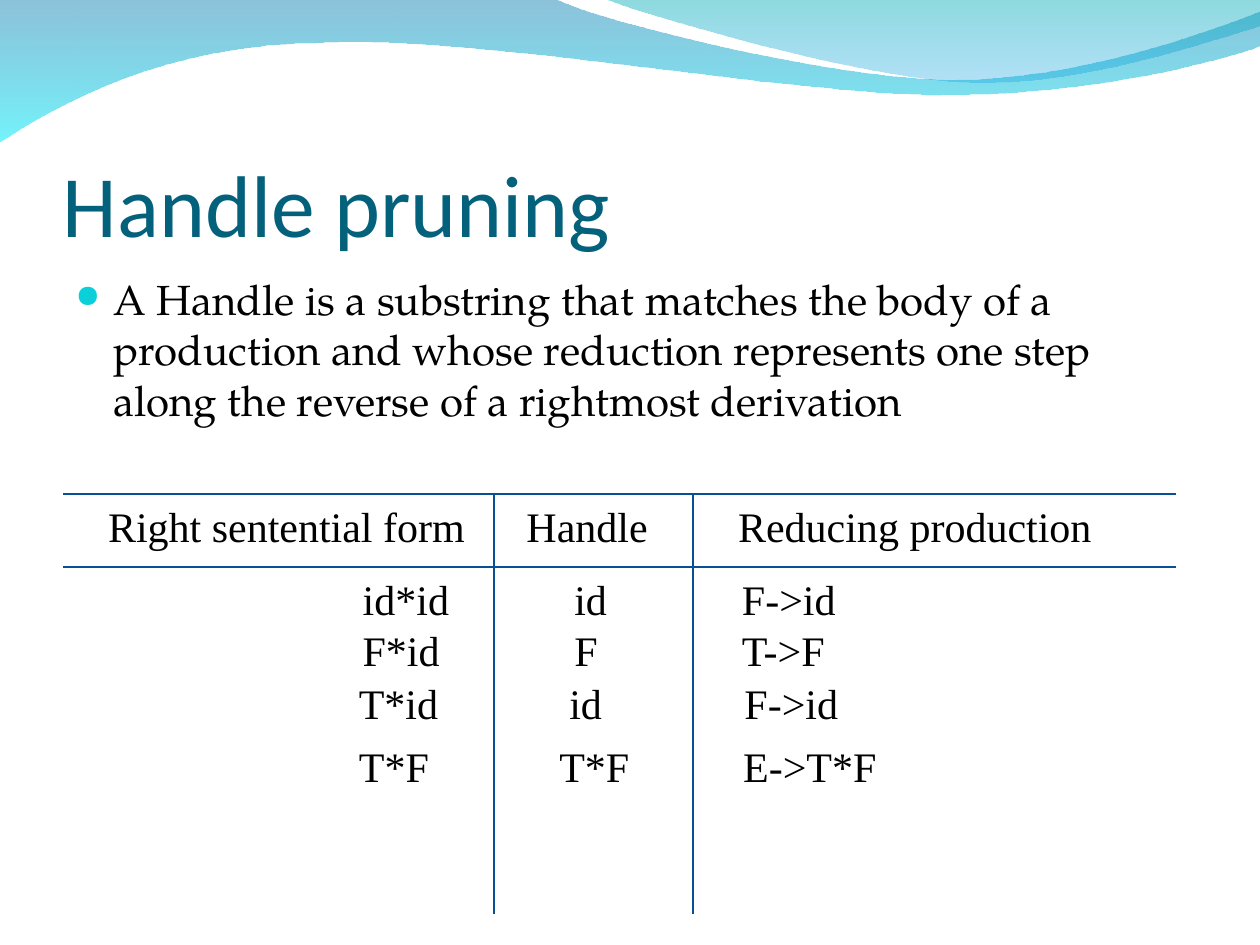
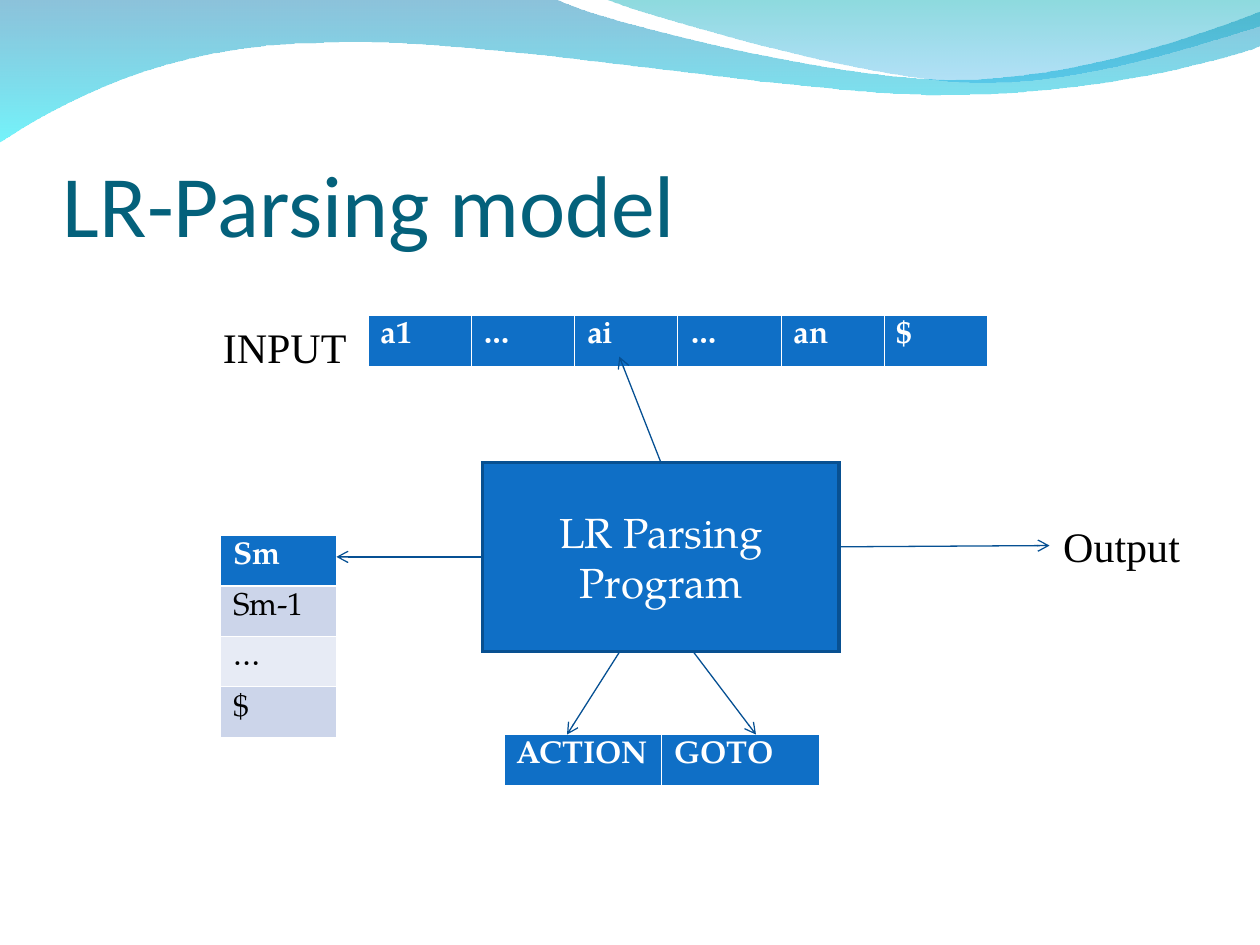
from collections import namedtuple

from lxml.etree import SubElement
from pptx import Presentation
from pptx.dml.color import RGBColor
from pptx.enum.shapes import MSO_CONNECTOR, MSO_SHAPE
from pptx.enum.text import MSO_ANCHOR, MSO_AUTO_SIZE, PP_ALIGN
from pptx.oxml import parse_xml
from pptx.oxml.ns import nsdecls, qn
from pptx.util import Inches, Pt

Box = namedtuple("Box", "left top width height")

TITLE_FONT, BODY_FONT, LABEL_FONT = "Calibri", "TeX Gyre Pagella", "Times New Roman"
BLACK, WHITE = "000000", "FFFFFF"
TITLE_COLOUR, BULLET_COLOUR = "04617B", "0BD0D9"
BLUE, BLUE_EDGE, LINE_COLOUR = "0F6FC6", "085091", "065093"
STRIPES = ("CCD5EA", "E7EBF5")
LABEL_HEIGHT = 0.5
LABEL_SLACK = 0.04  # keeps a tight label on one line

# Each wave: start point, then line ends (1 point) or Bezier curves (3 points),
# then gradient stops as colour and opacity in percent.
LOWER_WAVE = (
    (0, -0.01),
    [[(4.4, -0.01)], [(4.76, 0.17), (6.64, 0.63), (7.58, 0.63)],
     [(8.53, 0.63), (9.58, 0.26), (10, 0.09)], [(10.01, 0.36)],
     [(9.83, 0.44), (8.7, 0.76), (7.46, 0.75)],
     [(6.22, 0.75), (3.82, 0.28), (2.57, 0.34)],
     [(1.29, 0.35), (0.46, 0.83), (-0.01, 1.13)]],
    [("0079AF", 45), ("00EBF8", 55)],
)
UPPER_WAVE = (
    (4.79, -0.01),
    [[(5.09, 0.11), (6.82, 0.62), (7.69, 0.65)],
     [(8.56, 0.69), (9.61, 0.32), (10, 0.21)], [(10, 0)]],
    [("00ADB6", 45), ("009BE5", 30)],
)


def colour(code):
    """Turn a hex string into a colour."""
    return RGBColor.from_string(code)


def lengths(*values):
    """Turn numbers of inches into lengths."""
    return [Inches(value) for value in values]


def add_span(para, text, font, size, code, bold=False):
    """Add one formatted run to a paragraph."""
    span = para.add_run()
    span.text = text
    span.font.name, span.font.size, span.font.bold = font, Pt(size), bold
    span.font.color.rgb = colour(code)


def add_text_box(page, box, insets=(0.1, 0.05, 0.1, 0.05)):
    """Add an empty wrapping text box and return its frame."""
    frame = page.shapes.add_textbox(*lengths(*box)).text_frame
    frame.word_wrap = True
    (frame.margin_left, frame.margin_top,
     frame.margin_right, frame.margin_bottom) = lengths(*insets)
    return frame


def add_label(page, left, top, width, text):
    """Add a one-line label that fits its text."""
    frame = add_text_box(page, Box(left, top, width + LABEL_SLACK, LABEL_HEIGHT))
    frame.word_wrap = False
    frame.auto_size = MSO_AUTO_SIZE.SHAPE_TO_FIT_TEXT
    add_span(frame.paragraphs[0], text, LABEL_FONT, 24, BLACK)


def add_line(page, start, end, arrow=False):
    """Add a thin line, with an open arrowhead at its end if asked."""
    line = page.shapes.add_connector(MSO_CONNECTOR.STRAIGHT, *lengths(*start, *end))
    line.line.color.rgb = colour(LINE_COLOUR)
    line.line.width = Pt(0.74)
    if arrow:
        SubElement(line.line._get_or_add_ln(), qn("a:tailEnd"), type="arrow")
    SubElement(line._element.spPr, qn("a:effectLst"))


def bend(shape, segments):
    """Turn each run of three line ends that belongs to a curve into that curve."""
    ends = shape._element.findall(".//" + qn("a:lnTo"))
    for segment in segments:
        group, ends = ends[:len(segment)], ends[len(segment):]
        if len(segment) == 3:
            group[0].tag = qn("a:cubicBezTo")
            for extra in group[1:]:
                group[0].append(extra[0])
                extra.getparent().remove(extra)


def add_wave(page, start, segments, stops):
    """Draw one translucent wave with a top-to-bottom gradient."""
    builder = page.shapes.build_freeform(*lengths(*start), scale=1.0)
    points = [lengths(*point) for segment in segments for point in segment]
    builder.add_line_segments(points, close=True)
    wave = builder.convert_to_shape()
    bend(wave, segments)
    wave.shadow.inherit = False
    wave.line.fill.background()
    wave.fill.gradient()
    wave.fill.gradient_angle = 270
    for place, (stop, (code, opacity)) in enumerate(zip(wave.fill.gradient_stops, stops)):
        stop.position = place
        stop.color.rgb = colour(code)
        tint = stop._gs.find(qn("a:srgbClr"))
        SubElement(tint, qn("a:alpha"), val=str(opacity * 1000))


def add_page(deck, title):
    """Add a slide with the waves and the title."""
    page = deck.slides.add_slide(deck.slide_layouts[6])
    for wave in (LOWER_WAVE, UPPER_WAVE):
        add_wave(page, *wave)
    frame = add_text_box(page, Box(0.5, 0.77, 9, 1.25), insets=(0, 0.05, 0, 0))
    frame.vertical_anchor = MSO_ANCHOR.BOTTOM
    add_span(frame.paragraphs[0], title, TITLE_FONT, 50, TITLE_COLOUR)
    return page


def add_bullet(page, box, text):
    """Add a bulleted paragraph."""
    para = add_text_box(page, box).paragraphs[0]
    para.space_before = Pt(6.5)
    props = para._p.get_or_add_pPr()
    props.set("marL", str(Inches(0.3)))
    props.set("indent", str(-Inches(0.3)))
    tint = SubElement(props, qn("a:buClr"))
    SubElement(tint, qn("a:srgbClr"), val=BULLET_COLOUR)
    SubElement(props, qn("a:buSzPct"), val="75000")
    SubElement(props, qn("a:buChar"), char="●")
    add_span(para, text, BODY_FONT, 24, BLACK)


def add_reduction_grid(page, box):
    """Draw the ruled grid of sentential forms, handles and productions."""
    right, bottom = box.left + box.width, box.top + box.height
    for offset in (0, 0.58):
        add_line(page, (box.left, box.top + offset), (right, box.top + offset))
    for offset in (3.42, 5):
        add_line(page, (box.left + offset, box.top), (box.left + offset, bottom))
    # Row offset, then left offset, width and text of each entry.
    rows = [
        (0, [(0.26, 3.03, "Right sentential form"), (3.58, 1.16, "Handle"),
             (5.26, 3, "Reducing production")]),
        (0.58, [(2.28, 0.88, "id*id"), (3.96, 0.46, "id"), (5.29, 0.94, "F->id")]),
        (0.99, [(2.28, 0.81, "F*id"), (3.96, 0.38, "F"), (5.29, 0.89, "T->F")]),
        (1.41, [(2.25, 0.83, "T*id"), (3.92, 0.46, "id"), (5.31, 0.94, "F->id")]),
        (1.91, [(2.25, 0.75, "T*F"), (3.84, 0.75, "T*F"), (5.3, 1.26, "E->T*F")]),
    ]
    for row_offset, entries in rows:
        for offset, width, text in entries:
            add_label(page, box.left + offset, box.top + row_offset, width, text)


def style_cell(cell, text, row):
    """Fill one cell: header in the first row, stripes below."""
    header = row == 0
    cell.fill.solid()
    cell.fill.fore_color.rgb = colour(BLUE if header else STRIPES[(row - 1) % 2])
    add_span(cell.text_frame.paragraphs[0], text, BODY_FONT, 18,
             WHITE if header else BLACK, bold=header)
    widths = {"L": 0.45, "R": 0.45, "T": 1.47 if row == 1 else 0.45,
              "B": 1.47 if header else 0.45}
    for place, (side, width) in enumerate(widths.items()):
        border = parse_xml(
            f'<a:ln{side} {nsdecls("a")} w="{Pt(width)}"><a:solidFill>'
            f'<a:srgbClr val="{WHITE}"/></a:solidFill></a:ln{side}>')
        cell._tc.get_or_add_tcPr().insert(place, border)


def add_cells(page, box, rows):
    """Add a table with equal columns and rows that fill the box."""
    table = page.shapes.add_table(len(rows), len(rows[0]), *lengths(*box)).table
    table.horz_banding = False
    for column in table.columns:
        column.width = Inches(box.width / len(rows[0]))
    for row, texts in enumerate(rows):
        table.rows[row].height = Inches(box.height / len(rows))
        for column, text in enumerate(texts):
            style_cell(table.cell(row, column), text, row)


def add_program(page, box):
    """Add the central program block."""
    block = page.shapes.add_shape(MSO_SHAPE.RECTANGLE, *lengths(*box))
    block.shadow.inherit = False
    block.fill.solid()
    block.fill.fore_color.rgb = colour(BLUE)
    block.line.color.rgb = colour(BLUE_EDGE)
    block.line.width = Pt(2.01)
    SubElement(block.line._get_or_add_ln(), qn("a:miter"), lim="800000")
    block.text_frame.word_wrap = True
    block.text_frame.vertical_anchor = MSO_ANCHOR.MIDDLE
    para = block.text_frame.paragraphs[0]
    para.alignment = PP_ALIGN.CENTER
    add_span(para, "LR Parsing Program", BODY_FONT, 24, WHITE)


def add_parser_model(page, box):
    """Draw the program block with its input, stack, tables and output."""
    left, top, width, height = box
    right, bottom = left + width, top + height
    add_cells(page, Box(left - 0.91, top - 1.17, 4.92, 0.41),
              [["a1", "…", "ai", "…", "an", "$"]])
    add_label(page, left - 2.16, top - 1.17, 1.18, "INPUT")
    add_program(page, box)
    add_cells(page, Box(left - 2.08, top + 0.58, 0.92, 1.6),
              [["Sm"], ["Sm-1"], ["…"], ["$"]])
    add_cells(page, Box(left + 0.17, bottom + 0.66, 2.5, 0.41), [["ACTION", "GOTO"]])
    add_label(page, right + 1.68, top + 0.41, 1.12, "Output")
    middle = left + width / 2
    arrows = [
        ((left, top + 0.75), (left - 1.16, top + 0.75)),
        ((right, top + 0.67), (right + 1.67, top + 0.66)),
        ((middle, top), (middle - 0.33, top - 0.84)),
        ((left + 1.09, bottom), (left + 0.67, bottom + 0.66)),
        ((left + 1.67, bottom), (left + 2.17, bottom + 0.66)),
    ]
    for start, end in arrows:
        add_line(page, start, end, arrow=True)


def build():
    """Build and save the deck."""
    deck = Presentation()
    deck.slide_width, deck.slide_height = lengths(10, 7.5)

    page = add_page(deck, "Handle pruning")
    add_bullet(page, Box(0.5, 2.12, 9, 1.72),
               "A Handle is a substring that matches the body of a production and whose "
               "reduction represents one step along the reverse of a rightmost derivation")
    add_reduction_grid(page, Box(0.5, 3.92, 8.83, 3.33))

    page = add_page(deck, "LR-Parsing model")
    add_parser_model(page, Box(3.83, 3.67, 2.83, 1.5))

    deck.save("out.pptx")


build()
